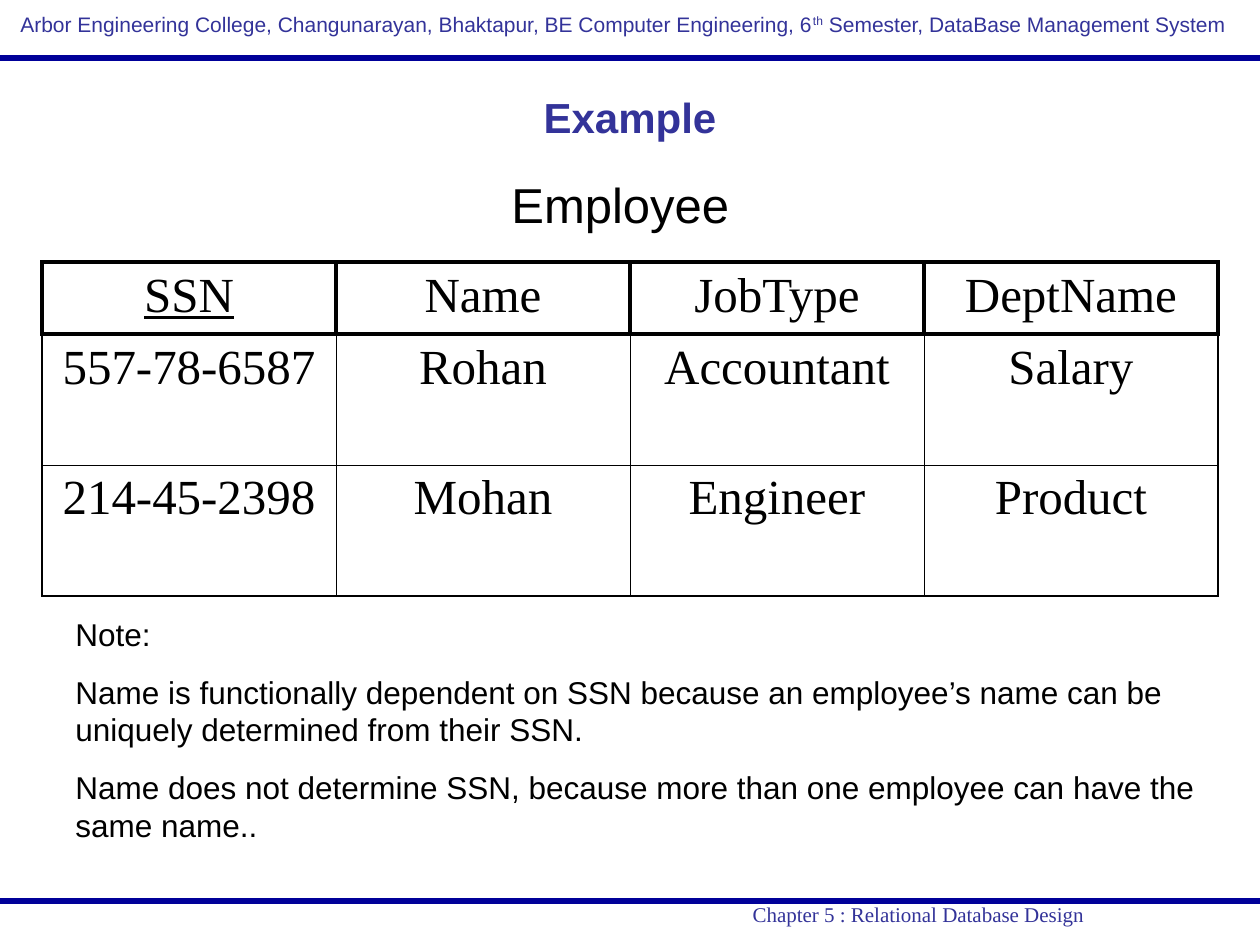
import pptx
import pptx.dml.color
import pptx.enum.shapes
import pptx.enum.text
import pptx.oxml
import pptx.oxml.ns
import pptx.util

PX = 914400 / 126
SANS, SERIF = "Arial", "Times New Roman"
BLACK, INDIGO, NAVY = "000000", "333399", "000099"
ALIGN = pptx.enum.text.PP_ALIGN
HEAVY, OUTER, INNER = 2.21, 1.08, 0.45

ROWS = [
    ["SSN", "Name", "JobType", "DeptName"],
    ["557-78-6587", "Rohan", "Accountant", "Salary"],
    ["214-45-2398", "Mohan", "Engineer", "Product"],
]
NOTES = [
    "Note:",
    "Name is functionally dependent on SSN because an employee’s name can be "
    "uniquely determined from their SSN.",
    "Name does not determine SSN, because more than one employee can have the same name..",
]


def px(length):
    return pptx.util.Emu(round(length * PX))


def color(value):
    return pptx.dml.color.RGBColor.from_string(value)


def add_span(para, text, size, font, fill=BLACK, bold=False):
    span = para.add_run()
    span.text = text
    span.font.size = pptx.util.Pt(size)
    span.font.name = font
    span.font.bold = bold
    span.font.color.rgb = color(fill)
    return span


def add_box(page, left, top, width, height, wrap=True):
    box = page.shapes.add_textbox(px(left), px(top), px(width), px(height))
    box.text_frame.word_wrap = wrap
    return box.text_frame


def add_rule(page, left, top, width):
    rule = page.shapes.add_connector(
        pptx.enum.shapes.MSO_CONNECTOR.STRAIGHT,
        px(left), px(top), px(left + width), px(top))
    rule.line.color.rgb = color(NAVY)
    rule.line.width = pptx.util.Pt(3)
    rule._element.spPr.append(pptx.oxml.parse_xml(
        f"<a:effectLst {pptx.oxml.ns.nsdecls('a')}/>"))


def add_header(page, left, top, width, height):
    add_rule(page, left, top + height, width)
    para = add_box(page, left + 8, top + 5, width - 24, 38, wrap=False).paragraphs[0]
    add_span(para, "Arbor Engineering College, Changunarayan, Bhaktapur, "
                   "BE Computer Engineering, 6", 12, SANS, INDIGO)
    ordinal = add_span(para, "th", 12, SANS, INDIGO)
    ordinal._r.get_or_add_rPr().set("baseline", "30000")
    add_span(para, " Semester, DataBase Management System", 12, SANS, INDIGO)


def add_footer(page, left, top, width):
    para = add_box(page, left + 719, top - 6, 399, 40, wrap=False).paragraphs[0]
    para.alignment = ALIGN.CENTER
    add_span(para, "Chapter 5 : Relational Database Design", 12, SERIF, INDIGO)
    add_rule(page, left, top, width)


def add_title(page, left, top, width, height):
    frame = add_box(page, left, top, width, height)
    frame.vertical_anchor = pptx.enum.text.MSO_ANCHOR.MIDDLE
    frame.paragraphs[0].alignment = ALIGN.CENTER
    add_span(frame.paragraphs[0], "Example", 24, SANS, INDIGO, bold=True)


def add_caption(page, left, top, width, height):
    frame = add_box(page, left, top, width, height)
    frame.margin_left = px(46)
    para = frame.paragraphs[0]
    para.alignment = ALIGN.CENTER
    para.space_before = pptx.util.Pt(7)
    add_span(para, "Employee", 28, SANS)


def set_borders(cell, widths):
    """Add one line per side; they must precede the cell fill."""
    props = cell._tc.get_or_add_tcPr()
    for index, (side, width) in enumerate(widths.items()):
        props.insert(index, pptx.oxml.parse_xml(
            f'<a:ln{side} {pptx.oxml.ns.nsdecls("a")} w="{pptx.util.Pt(width)}">'
            f'<a:solidFill><a:srgbClr val="{BLACK}"/></a:solidFill></a:ln{side}>'))


def border_widths(row, col):
    if row == 0:
        return dict.fromkeys("LRTB", HEAVY)
    return {
        "L": OUTER if col == 0 else INNER,
        "R": OUTER if col == len(ROWS[0]) - 1 else INNER,
        "T": HEAVY if row == 1 else INNER,
        "B": OUTER if row == len(ROWS) - 1 else INNER,
    }


def add_employee_table(page, left, top, width, head_height, row_height):
    heights = [head_height] + [row_height] * (len(ROWS) - 1)
    table = page.shapes.add_table(len(ROWS), len(ROWS[0]), px(left), px(top),
                                  px(width), px(sum(heights))).table
    table.first_row = table.horz_banding = False
    for column in table.columns:
        column.width = px(width / len(ROWS[0]))
    for row, values in enumerate(ROWS):
        table.rows[row].height = px(heights[row])
        for col, value in enumerate(values):
            cell = table.cell(row, col)
            cell.fill.background()
            set_borders(cell, border_widths(row, col))
            para = cell.text_frame.paragraphs[0]
            para.alignment = ALIGN.CENTER
            para.space_before = pptx.util.Pt(7)
            span = add_span(para, value, 28, SERIF)
            if value == "SSN":  # primary key
                span.font.underline = True


def add_notes(page, left, top, width, height):
    frame = add_box(page, left, top, width, height)
    for index, note in enumerate(NOTES):
        para = frame.add_paragraph() if index else frame.paragraphs[0]
        para.space_before = pptx.util.Pt(11.2)
        add_span(para, note, 18, SANS)


def main():
    deck = pptx.Presentation()
    deck.slide_width, deck.slide_height = px(1260), px(945)
    page = deck.slides.add_slide(deck.slide_layouts[6])

    # Running header and footer
    add_header(page, 0, 0, 1260, 58)
    add_footer(page, 0, 901, 1260)

    # Content
    add_title(page, 63, 38, 1134, 158)
    add_caption(page, 0, 168, 1207, 116)
    add_employee_table(page, 42, 262, 1176, 72, 131)
    add_notes(page, 63, 609, 1144, 242)

    deck.save("out.pptx")


if __name__ == "__main__":
    main()
